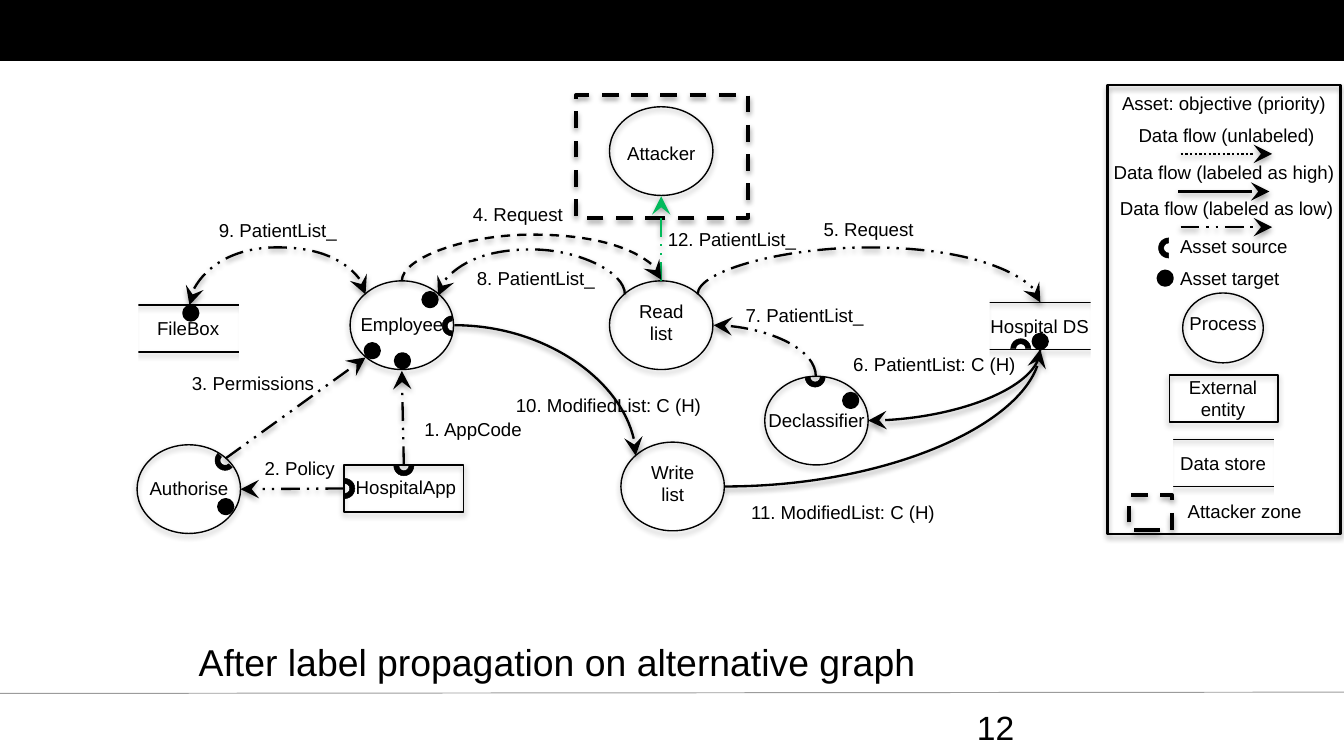
"""Build the slide that shows label propagation on the alternative data flow graph."""
from lxml import etree
from pptx import Presentation
from pptx.dml.color import RGBColor
from pptx.enum.dml import MSO_LINE
from pptx.enum.shapes import MSO_CONNECTOR, MSO_SHAPE
from pptx.enum.text import PP_ALIGN
from pptx.oxml.ns import qn
from pptx.util import Inches, Pt

BLACK = RGBColor(0, 0, 0)
WHITE = RGBColor(255, 255, 255)
GRAY = RGBColor(0x9C, 0x9C, 0x9C)
GREEN = RGBColor(0x02, 0xBA, 0x5B)
RECTANGLE, OVAL, ARC = MSO_SHAPE.RECTANGLE, MSO_SHAPE.OVAL, MSO_SHAPE.BLOCK_ARC
STRAIGHT, CURVED = MSO_CONNECTOR.STRAIGHT, MSO_CONNECTOR.CURVE
LOW, DASH, DOTTED = MSO_LINE.DASH_DOT_DOT, MSO_LINE.DASH, MSO_LINE.ROUND_DOT
LEFT, CENTER = PP_ALIGN.LEFT, PP_ALIGN.CENTER
TOP_SIDE, LEFT_SIDE = 0, 1
COLUMNS, ROWS = 100, 56.25


def cells(count):
    return Inches(count / 10)


class Diagram:
    """Draws diagram elements on one slide, on a grid of 100 columns by 56.25 rows."""

    font = "Arial"
    text_size = 10
    flow_width = 1.25

    def __init__(self, slide):
        self.shapes = slide.shapes

    def cast_shadow(self, effects):
        shadow = etree.SubElement(effects, qn("a:outerShdw"), blurRad=str(Pt(3.1)),
                                  dist=str(Pt(1.6)), dir="5400000", rotWithShape="0")
        color = etree.SubElement(shadow, qn("a:srgbClr"), val=str(BLACK))
        etree.SubElement(color, qn("a:alpha"), val="38000")

    def shape(self, kind, left, top, width, height, fill=None, line=None, dash=None, shadow=False):
        shape = self.shapes.add_shape(kind, cells(left), cells(top), cells(width), cells(height))
        if fill is None:
            shape.fill.background()
        else:
            shape.fill.solid()
            shape.fill.fore_color.rgb = fill
        if line is None:
            shape.line.fill.background()
        else:
            shape.line.color.rgb = BLACK
            shape.line.width = Pt(line)
            if dash:
                shape.line.dash_style = dash
        shape.shadow.inherit = False
        if shadow:
            self.cast_shadow(shape._element.spPr.find(qn("a:effectLst")))
        return shape

    def outline(self, kind, left, top, width, height, line=0.75, dash=None):
        return self.shape(kind, left, top, width, height, line=line, dash=dash, shadow=True)

    def text(self, words, left, top, width, height=2.7, align=LEFT, size=text_size, wrap=True):
        box = self.shapes.add_textbox(cells(left), cells(top), cells(width), cells(height))
        frame = box.text_frame
        frame.word_wrap = wrap
        frame.text = words
        for para in frame.paragraphs:
            para.alignment = align
            para.font.name = self.font
            para.font.size = Pt(size)
            para.font.color.rgb = BLACK

    def process(self, words, left, top, text_top, width=7.7, height=6.6):
        self.outline(OVAL, left, top, width, height)
        self.text(words, left - 0.9, text_top, width + 1.8, 4.4, CENTER)

    def entity(self, words, left, top, text_top, width, text_left):
        box = self.outline(RECTANGLE, left, top, width, 3.5)
        self.text(words, text_left, text_top, 9.6, 4.5, CENTER)
        return box

    def store(self, words, left, top):
        self.entity(words, left, top, top + 0.4, 8.1, left - 0.8)
        for offset in (-1.4, 7.8):
            self.shape(RECTANGLE, left + offset, top - 0.5, 1.7, 5.2, fill=WHITE)

    def target(self, left, top):
        self.shape(OVAL, left, top, 1, 1, fill=BLACK, line=2)

    def source(self, left, top, rotation):
        self.shape(ARC, left, top, 1.5, 1.5, fill=BLACK, line=0.25).rotation = rotation

    def rule(self, start, end, color):
        line = self.shapes.add_connector(STRAIGHT, *map(cells, start + end))
        line.line.color.rgb = color
        line.line.width = Pt(0.5)
        etree.SubElement(line._element.spPr, qn("a:effectLst"))

    def finish_flow(self, line, dash, color=BLACK, both=False):
        line.line.color.rgb = color
        line.line.width = Pt(self.flow_width)
        if dash:
            line.line.dash_style = dash
        stroke = line.line._get_or_add_ln()
        for end in ("a:headEnd", "a:tailEnd") if both else ("a:tailEnd",):
            etree.SubElement(stroke, qn(end), type="stealth", w="lg", len="lg")
        self.cast_shadow(etree.SubElement(line._element.spPr, qn("a:effectLst")))

    def flow(self, start, end, dash=LOW, color=BLACK, box=None, side=TOP_SIDE):
        line = self.shapes.add_connector(STRAIGHT, *map(cells, start + end))
        if box is not None:
            line.begin_connect(box, side)
        self.finish_flow(line, dash, color)

    def curve(self, start, end, dash=None, peak=None, upright=True, both=False):
        (x1, y1), (x2, y2) = start, end
        along, across = (y1 - y2, x2 - x1) if upright else (x2 - x1, y2 - y1)
        width, height = abs(along), abs(across)
        line = self.shapes.add_connector(CURVED, 0, 0, 0, 0)
        line.left, line.top = cells((x1 + x2 - width) / 2), cells((y1 + y2 - height) / 2)
        line.width, line.height = cells(width), cells(height)
        frame = line._element.spPr.find(qn("a:xfrm"))
        frame.set("rot", "16200000" if upright else "0")
        frame.set("flipH", str(int(along < 0)))
        frame.set("flipV", str(int(across < 0)))
        geometry = line._element.spPr.find(qn("a:prstGeom"))
        if peak is None:
            geometry.set("prst", "curvedConnector2")
        else:
            bend = round((y1 - peak) / along * 100000)
            etree.SubElement(geometry.find(qn("a:avLst")), qn("a:gd"),
                             name="adj1", fmla=f"val {bend}")
        self.finish_flow(line, dash, both=both)


def draw_graph(diagram):
    for words, left, top, text_top in (
            ("Write\nlist", 46.2, 32.9, 33.8), ("Read\nlist", 45.35, 20.9, 21.8),
            ("Employee", 26.05, 20.9, 22.8), ("Authorise", 10.2, 33.1, 35),
            ("Declassifier", 56.9, 28, 29.9), ("Attacker", 45.35, 7.95, 10.05)):
        diagram.process(words, left, top, text_top)
    diagram.store("FileBox", 10, 22.7)
    diagram.store("Hospital DS", 73.35, 22.5)
    app = diagram.entity("HospitalApp", 25.6, 34.6, 34.9, 8.9, 25.4)
    diagram.outline(RECTANGLE, 42.85, 7.1, 12.8, 9.1, 2.25, DASH)

    diagram.flow((30, 34.6), (29.9, 27.6), box=app)
    diagram.flow((25.6, 36.3), (17.9, 36.4), box=app, side=LEFT_SIDE)
    diagram.flow((16.8, 34.1), (27.2, 26.6))
    diagram.flow((49.2, 20.9), (49.2, 14.6), color=GREEN)
    diagram.curve((51.9, 21.9), (77.4, 22.5), LOW, peak=18.4)
    diagram.curve((29.9, 20.9), (49.2, 20.8), DASH, peak=17.4)
    diagram.curve((46.5, 21.9), (32.6, 22), LOW, peak=18.5)
    diagram.curve((14.1, 22.7), (27.2, 21.9), LOW, peak=18.4, both=True)
    diagram.curve((77.4, 26), (64.6, 31.3))
    diagram.curve((60.7, 28), (53.1, 24.2), LOW)
    diagram.curve((33.8, 24.2), (47.3, 33.9), upright=False)
    diagram.curve((53.9, 36.2), (77.4, 26), upright=False)

    for left, top in ((29.45, 26.35), (13.7, 22.8), (31.5, 21.8), (27.2, 25.6),
                      (76.9, 24.9), (16.3, 37.2), (62.8, 29.3)):
        diagram.target(left, top)
    for left, top, rotation in ((29.3, 33.9, 180), (24.9, 35.6, 90), (32.9, 23.5, 270),
                                (75.2, 25.2, 0), (16, 33.5, 224.3), (59.9, 27.3, 180)):
        diagram.source(left, top, rotation)
    for words, left, top, width in (
            ("1. AppCode", 30.6, 30.6, 13.4), ("2. Policy", 18.7, 33.5, 7.4),
            ("3. Permissions", 13.3, 27.2, 11.3), ("4. Request", 34.2, 14.6, 11.3),
            ("5. Request", 60.3, 15.7, 15.3), ("6. PatientList: C (H)", 62.5, 25.8, 21.8),
            ("7. PatientList_", 54.5, 22.1, 11.6), ("8. PatientList_", 34.5, 19.4, 15.2),
            ("9. PatientList_", 15.3, 15.8, 15.1), ("10. ModifiedList: C (H)", 37.4, 28.8, 16.1),
            ("11. ModifiedList: C (H)", 54.9, 36.8, 16.6), ("12. PatientList_", 48.7, 16.5, 15.1)):
        diagram.text(words, left, top, width)


def draw_legend(diagram):
    diagram.outline(RECTANGLE, 82.4, 6.35, 17.35, 33.4, diagram.flow_width)
    diagram.text("Asset: objective (priority)", 82.5, 6.35, 17.5)
    for words, left, top, dash in (("Data flow (unlabeled)", 80.8, 8.7, DOTTED),
                                   ("Data flow (labeled as high)", 80.6, 11.5, None),
                                   ("Data flow (labeled as low)", 80.8, 14.15, LOW)):
        diagram.text(words, left, top, 20.9, 3.1, CENTER)
        diagram.flow((left + 7.05, top + 2.75), (left + 13.85, top + 2.75), dash)
    diagram.source(86.2, 17.7, 270)
    diagram.text("Asset source", 86.7, 17, 10.2, 3.1, CENTER)
    diagram.target(86.2, 20.2)
    diagram.text("Asset target", 86.7, 19.35, 9.6, 3.1, CENTER)
    diagram.process("Process", 88, 21.8, 22.7, 6, 5.2)
    diagram.entity("External entity", 87, 27.9, 27.45, 8.1, 86.2)
    diagram.store("Data store", 87, 32.7)
    diagram.outline(RECTANGLE, 84, 36.85, 3.2, 2.6, 2.25, DASH)
    diagram.text("Attacker zone", 87.25, 36.7, 10.7, 3.1, CENTER)


def main():
    deck = Presentation()
    deck.slide_width, deck.slide_height = cells(COLUMNS), cells(ROWS)
    diagram = Diagram(deck.slides.add_slide(deck.slide_layouts[6]))
    diagram.shape(RECTANGLE, 0, 0, COLUMNS, 4.6, fill=BLACK)
    diagram.rule((0, 51.6), (COLUMNS, 51.5), GRAY)
    diagram.rule((0, 4.6), (COLUMNS, 4.6), WHITE)
    draw_graph(diagram)
    draw_legend(diagram)
    diagram.text("After label propagation on alternative graph", 13.8, 47.1, 62.1, 10,
                 size=20, wrap=False)
    diagram.text("12", 71.7, 52.1, 23.3, 3, size=18)
    deck.save("out.pptx")


if __name__ == "__main__":
    main()
